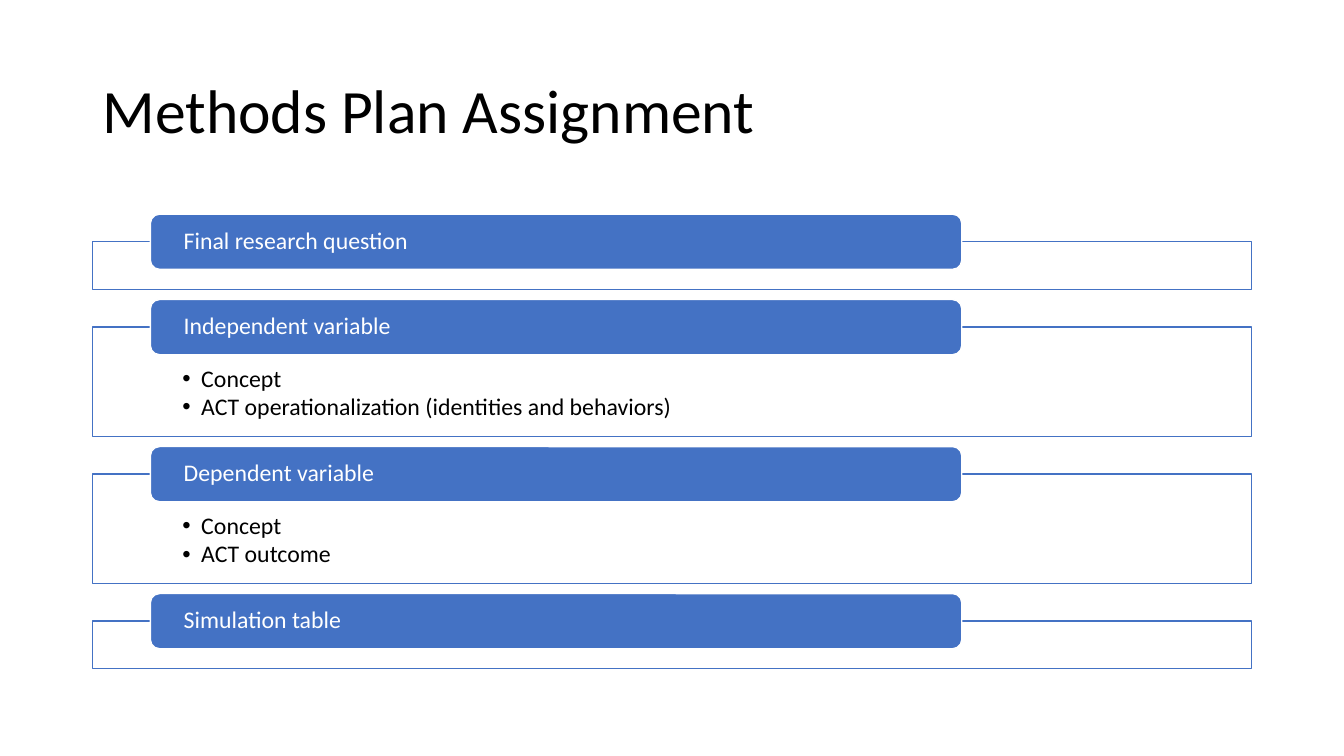
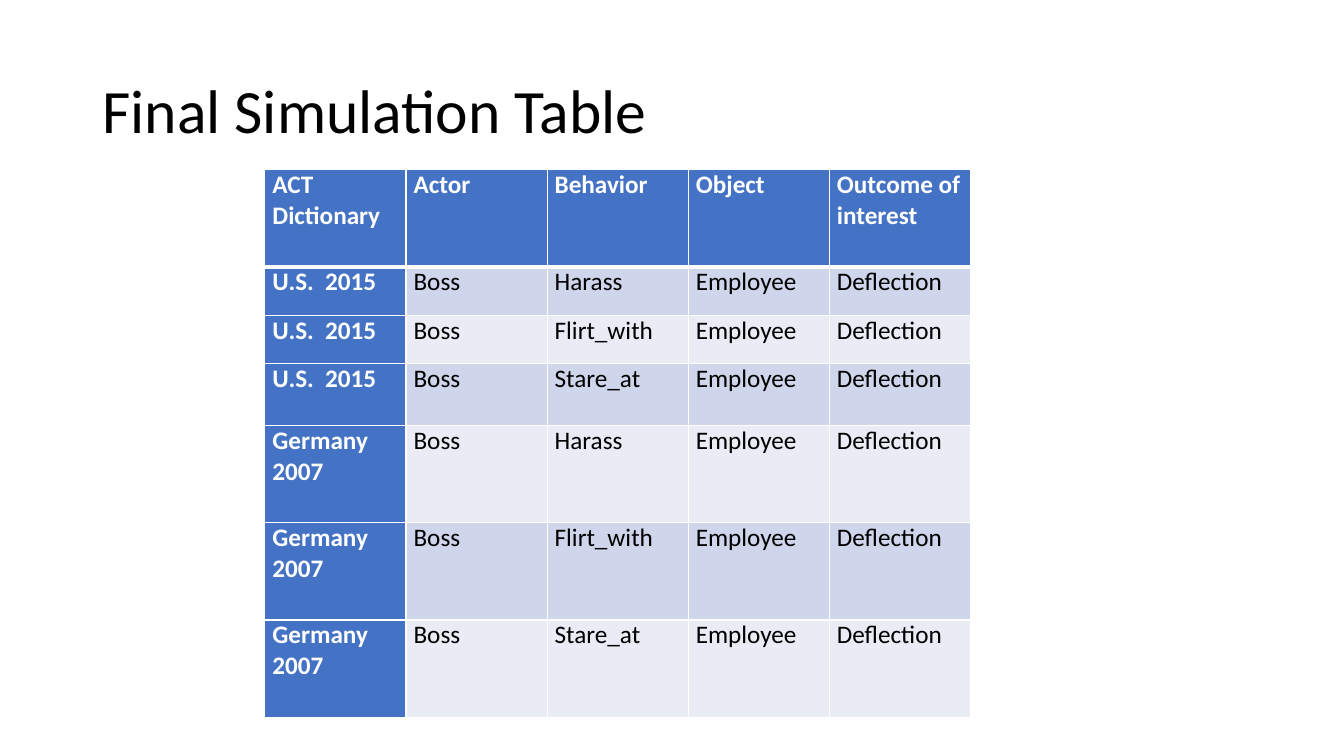
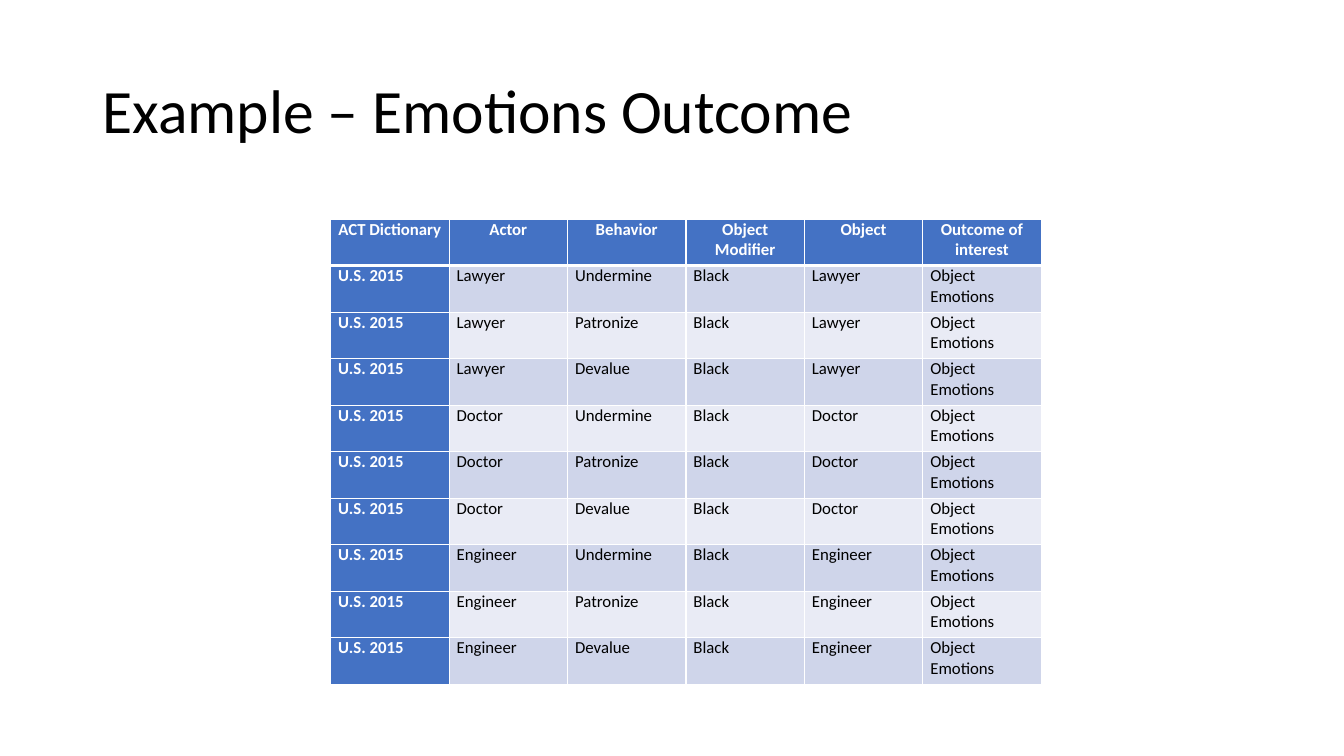
"""Build three slides on a methods plan: a section list and two simulation tables."""
from itertools import product

from lxml.etree import SubElement
from pptx import Presentation
from pptx.dml.color import RGBColor
from pptx.enum.shapes import MSO_SHAPE
from pptx.enum.text import MSO_ANCHOR, PP_ALIGN
from pptx.oxml import parse_xml
from pptx.oxml.ns import nsdecls, qn
from pptx.util import Pt

COLORS = {"accent": "4472C4", "white": "FFFFFF", "text": "000000",
          "band_dark": "CFD5EA", "band_light": "E9EBF5"}
FONT = "Calibri"
TITLE_BOX = (66, 28.8, 828, 104.4)
SECTIONS = [
    ("Final research question", []),
    ("Independent variable", ["Concept", "ACT operationalization (identities and behaviors)"]),
    ("Dependent variable", ["Concept", "ACT outcome"]),
    ("Simulation table", []),
]


def rgb(name):
    return RGBColor.from_string(COLORS[name])


def apply(obj, **values):
    for key, value in values.items():
        setattr(obj, key, value)


def write(p, text, size, color, bold=False):
    r = p.add_run()
    r.text = text
    apply(r.font, name=FONT, size=Pt(size), bold=bold)
    r.font.color.rgb = rgb(color)


def new_slide(prs, title):
    s = prs.slides.add_slide(prs.slide_layouts[5])
    sp = s.shapes.title
    apply(sp, **dict(zip(("left", "top", "width", "height"), map(Pt, TITLE_BOX))))
    apply(sp.text_frame, vertical_anchor=MSO_ANCHOR.MIDDLE, word_wrap=True)
    p = sp.text_frame.paragraphs[0]
    apply(p, alignment=PP_ALIGN.LEFT, line_spacing=0.9)
    write(p, title, 44, "text")
    return s


def add_box(s, kind, box, fill, line, margins, anchor):
    sp = s.shapes.add_shape(kind, *map(Pt, box))
    sp.shadow.inherit = False
    sp.fill.solid()
    sp.fill.fore_color.rgb = rgb(fill)
    sp.line.color.rgb = rgb(line)
    sp.line.width = Pt(1)
    side, top, bottom = map(Pt, margins)
    apply(sp.text_frame, word_wrap=True, vertical_anchor=anchor, margin_left=side,
          margin_right=side, margin_top=top, margin_bottom=bottom)
    return sp


def add_bullets(tf, items):
    for i, item in enumerate(items):
        p = tf.add_paragraph() if i else tf.paragraphs[0]
        apply(p, alignment=PP_ALIGN.LEFT, line_spacing=0.9, space_after=Pt(2))
        pPr = p._p.get_or_add_pPr()
        pPr.set("marL", str(Pt(13.5)))
        pPr.set("indent", str(-Pt(13.5)))
        SubElement(pPr, qn("a:buFont"), typeface="Arial")
        SubElement(pPr, qn("a:buChar"), char="•")
        write(p, item, 17, "text")


def add_sections(s, box, sections):
    left, top, width = box
    label_h = 39.4
    for label, items in sections:
        body_h = 78 if items else 34
        body = add_box(s, MSO_SHAPE.RECTANGLE, (left, top + label_h / 2, width, body_h),
                       "white", "accent", (64.3, 28.3, 9.4), MSO_ANCHOR.TOP)
        add_bullets(body.text_frame, items)
        sp = add_box(s, MSO_SHAPE.ROUNDED_RECTANGLE,
                     (left + width * 0.05, top, width * 0.7, label_h),
                     "accent", "white", (21.9, 0, 0), MSO_ANCHOR.MIDDLE)
        p = sp.text_frame.paragraphs[0]
        apply(p, alignment=PP_ALIGN.LEFT, line_spacing=0.9)
        write(p, label, 17, "white")
        top += body_h + 27


def add_borders(cell, row):
    tcPr = cell._tc.get_or_add_tcPr()
    widths = {"L": 1, "R": 1, "T": 3 if row == 1 else 1, "B": 3 if row == 0 else 1}
    for i, (side, width) in enumerate(widths.items()):
        tcPr.insert(i, parse_xml(
            f'<a:ln{side} {nsdecls("a")} w="{Pt(width)}"><a:solidFill>'
            f'<a:srgbClr val="{COLORS["white"]}"/></a:solidFill></a:ln{side}>'))


def add_grid(s, box, rows, heights, size, header_align):
    left, top, width = box
    cols = len(rows[0])
    table = s.shapes.add_table(len(rows), cols, Pt(left), Pt(top), Pt(width),
                               Pt(sum(heights))).table
    apply(table, first_col=True)
    for col in table.columns:
        col.width = Pt(width / cols)
    for i, (row, height) in enumerate(zip(rows, heights)):
        table.rows[i].height = Pt(height)
        for j, text in enumerate(row):
            cell = table.cell(i, j)
            strong = i == 0 or j == 0
            apply(cell, margin_left=Pt(5.4), margin_right=Pt(5.4), margin_top=0,
                  margin_bottom=0, vertical_anchor=MSO_ANCHOR.TOP)
            cell.fill.solid()
            band = "band_dark" if i % 2 else "band_light"
            cell.fill.fore_color.rgb = rgb("accent" if strong else band)
            add_borders(cell, i)
            p = cell.text_frame.paragraphs[0]
            p.alignment = PP_ALIGN.LEFT if i else header_align
            write(p, text, size, "white" if strong else "text", strong)


def main():
    prs = Presentation()
    apply(prs, slide_width=Pt(960), slide_height=Pt(540))

    s = new_slide(prs, "Methods Plan Assignment")
    add_sections(s, (66, 153, 828), SECTIONS)

    s = new_slide(prs, "Final Simulation Table")
    rows = [("ACT Dictionary", "Actor", "Behavior", "Object", "Outcome of interest")]
    rows += [(source, "Boss", act, "Employee", "Deflection") for source, act in
             product(("U.S.  2015", "Germany 2007"), ("Harass", "Flirt_with", "Stare_at"))]
    heights = [69.5, 34.7, 34.7, 44] + [69.5] * 3
    add_grid(s, (189.2, 121, 504), rows, heights, 18, PP_ALIGN.LEFT)

    s = new_slide(prs, "Example – Emotions Outcome")
    rows = [("ACT Dictionary", "Actor", "Behavior", "Object Modifier", "Object",
             "Outcome of interest")]
    rows += [("U.S. 2015", job, act, "Black", job, "Object Emotions") for job, act in
             product(("Lawyer", "Doctor", "Engineer"), ("Undermine", "Patronize", "Devalue"))]
    add_grid(s, (236.2, 156.5, 507.6), rows, [33.25] * len(rows), 12, PP_ALIGN.CENTER)

    prs.save("out.pptx")


if __name__ == "__main__":
    main()
